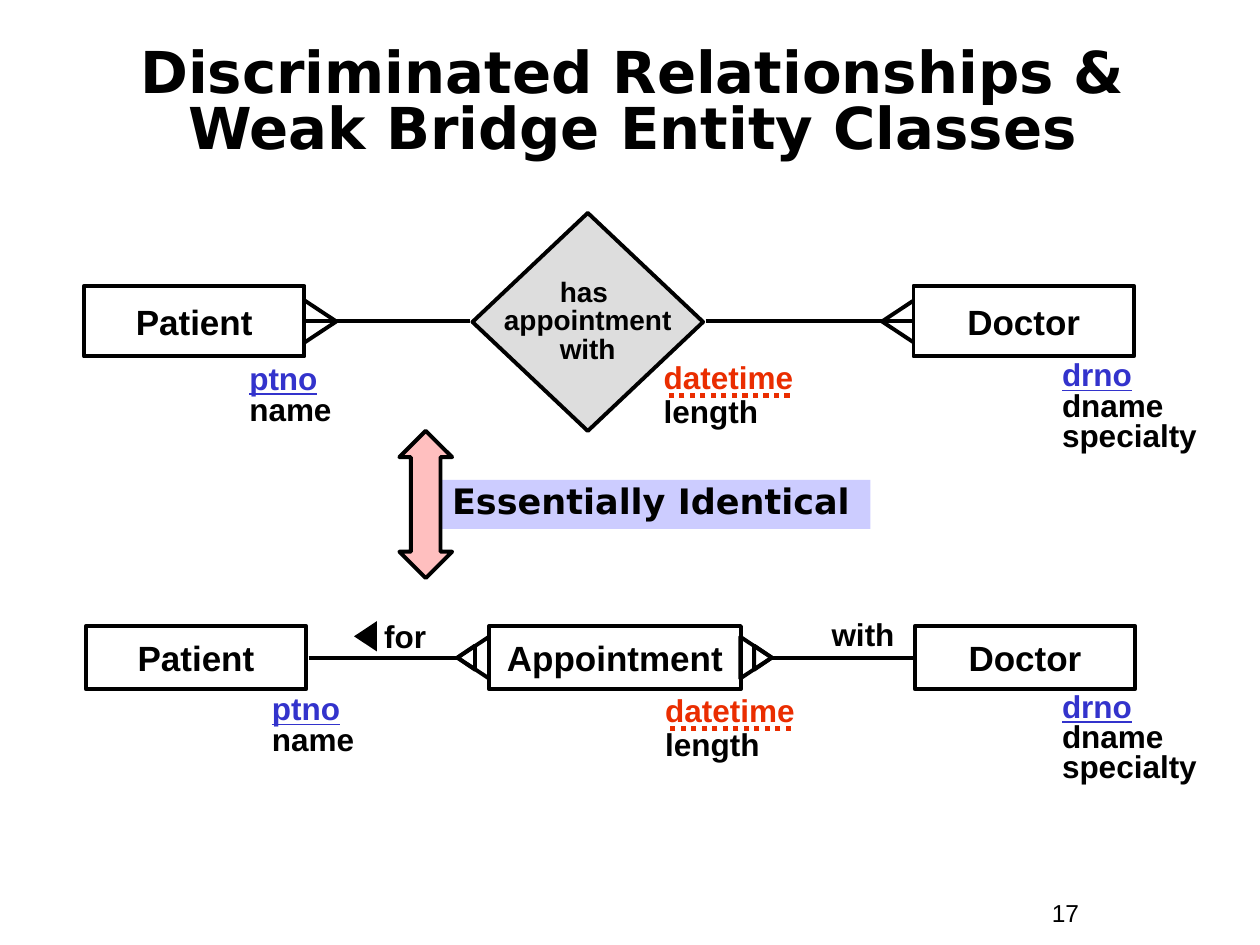
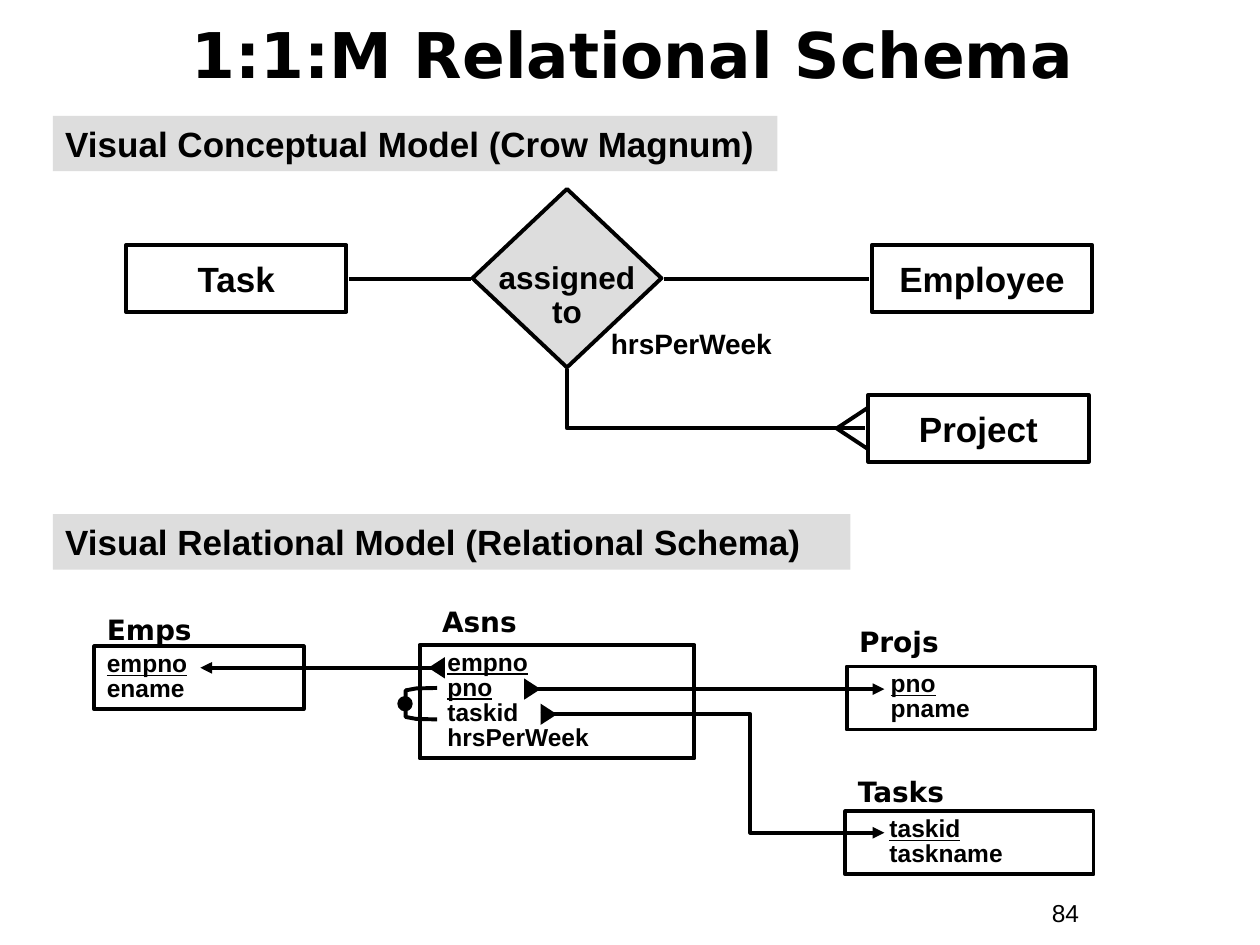
from lxml import etree
from pptx import Presentation
from pptx.dml.color import RGBColor
from pptx.enum.dml import MSO_LINE
from pptx.enum.shapes import MSO_CONNECTOR, MSO_SHAPE
from pptx.enum.text import MSO_ANCHOR, PP_ALIGN
from pptx.oxml.ns import qn
from pptx.util import Pt

STRAIGHT, ELBOW = MSO_CONNECTOR.STRAIGHT, MSO_CONNECTOR.ELBOW
RECTANGLE, DIAMOND = MSO_SHAPE.RECTANGLE, MSO_SHAPE.FLOWCHART_DECISION
TRIANGLE, OVAL = MSO_SHAPE.ISOSCELES_TRIANGLE, MSO_SHAPE.OVAL
UP_DOWN_ARROW = MSO_SHAPE.UP_DOWN_ARROW
LEFT, CENTER = PP_ALIGN.LEFT, PP_ALIGN.CENTER
TOP, MIDDLE = MSO_ANCHOR.TOP, MSO_ANCHOR.MIDDLE
DOTTED = MSO_LINE.ROUND_DOT

BODY_FONT, TITLE_FONT = "Arial", "DejaVu Sans"
BLACK, GRAY, LAVENDER, PINK = "000000", "DDDDDD", "CCCCFF", "FFBFBF"
KEY_BLUE, DISCRIMINATOR_RED = "3333CC", "EA2D00"
LINE_WIDTH = 2.25
ENTITY_WIDTH = 126
FOOT_LENGTH, FOOT_SPREAD = 18, 11.9
POINT_LEFT, POINT_RIGHT = 270, 90

PATIENT = [("ptno", KEY_BLUE, True), "name"]
DOCTOR = [("drno", KEY_BLUE, True), "dname", "specialty"]
APPOINTMENT = [("datetime", DISCRIMINATOR_RED, False), "length"]


def rgb(color):
    return RGBColor.from_string(color)


def points(*values):
    return [Pt(value) for value in values]


def write_text(shape, lines, size=20, font=BODY_FONT, bold=True, align=LEFT,
               spacing=1.0, anchor=TOP, wrap=True, indent=0, drop=0):
    """Fill a shape; a line is a string or (string, colour, underlined)."""
    frame = shape.text_frame
    frame.word_wrap = wrap
    frame.vertical_anchor = anchor
    frame.margin_left, frame.margin_right = points(7.2 + indent, 7.2)
    frame.margin_top, frame.margin_bottom = points(3.6 + drop, 3.6)
    for index, line in enumerate(lines):
        text, color, underlined = (line, BLACK, False) if isinstance(line, str) else line
        paragraph = frame.add_paragraph() if index else frame.paragraphs[0]
        paragraph.alignment = align
        paragraph.line_spacing = spacing
        run = paragraph.add_run()
        run.text = text
        run.font.name, run.font.size, run.font.bold = font, Pt(size), bold
        run.font.underline = underlined
        run.font.color.rgb = rgb(color)


def add_text(slide, lines, left, top, width, height, **text_format):
    box = slide.shapes.add_textbox(*points(left, top, width, height))
    write_text(box, lines, **text_format)


def paint(shape, fill=None, outline=BLACK):
    shape.shadow.inherit = False
    if fill:
        shape.fill.solid()
        shape.fill.fore_color.rgb = rgb(fill)
    else:
        shape.fill.background()
    if outline:
        shape.line.color.rgb = rgb(outline)
        shape.line.width = Pt(LINE_WIDTH)
    else:
        shape.line.fill.background()


def add_box(slide, kind, left, top, width, height, fill=None, outline=BLACK):
    shape = slide.shapes.add_shape(kind, *points(left, top, width, height))
    paint(shape, fill, outline)
    return shape


def add_line(slide, x1, y1, x2, y2, bend=None, arrow=False, color=BLACK,
             width=LINE_WIDTH, dash=None):
    """Draw a line; bend is the share of its width before an elbow turns."""
    kind = STRAIGHT if bend is None else ELBOW
    line = slide.shapes.add_connector(kind, *points(x1, y1, x2, y2))
    line.line.color.rgb = rgb(color)
    line.line.width = Pt(width)
    if dash:
        line.line.dash_style = dash
    properties = line._element.spPr
    if bend is not None:
        adjustments = properties.find(qn("a:prstGeom")).find(qn("a:avLst"))
        etree.SubElement(adjustments, qn("a:gd"), name="adj1",
                         fmla=f"val {round(bend * 100000)}")
    if arrow:
        etree.SubElement(properties.find(qn("a:ln")), qn("a:tailEnd"), type="triangle")
    etree.SubElement(properties, qn("a:effectLst"))


def add_triangle(slide, center_x, center_y, base, height, rotation, solid=True):
    triangle = add_box(slide, TRIANGLE, center_x - base / 2, center_y - height / 2,
                       base, height, BLACK if solid else None, None if solid else BLACK)
    triangle.rotation = rotation


def add_entity(slide, name, left, top, height, width=ENTITY_WIDTH):
    entity = add_box(slide, RECTANGLE, left, top, width, height)
    write_text(entity, [name], align=CENTER, anchor=MIDDLE, wrap=False)


def add_crow_foot(slide, tip_x, y, direction):
    """Spread two toes from the tip; direction is 1 to the right, -1 to the left."""
    for spread in (-FOOT_SPREAD, FOOT_SPREAD):
        add_line(slide, tip_x, y, tip_x + direction * FOOT_LENGTH, y + spread)


def add_weak_crow_foot(slide, center_x, y, rotation):
    toward_tip = 4 if rotation == POINT_RIGHT else -4
    add_triangle(slide, center_x, y, 23.8, 18, rotation, solid=False)
    add_triangle(slide, center_x + toward_tip, y, 13.7, 10.1, rotation, solid=False)


def add_attributes(slide, lines, left, top):
    add_text(slide, lines, left, top, 108, 7.2 + 17 * len(lines), size=18, spacing=0.8)


def add_appointment_attributes(slide, left, top):
    add_text(slide, APPOINTMENT, left, top, 120, 46, size=18, spacing=0.9)
    add_line(slide, left + 79, top + 22.3, left + 7, top + 22.3,
             color=DISCRIMINATOR_RED, width=3, dash=DOTTED)


def add_frame(presentation, title_lines, page, top, height, size, spacing=1.0):
    """Start a slide with its title and page number."""
    slide = presentation.slides.add_slide(presentation.slide_layouts[6])
    add_text(slide, title_lines, 24, top, 675, height, size=size, font=TITLE_FONT,
             align=CENTER, anchor=MIDDLE, spacing=spacing)
    add_text(slide, [page], 594, 509.8, 66, 24.5, size=14, bold=False)
    return slide


def draw_discriminated_relationship(slide, left, top):
    middle = top + 62
    entity_top = top + 41.7
    diamond = add_box(slide, DIAMOND, left + 222, top, 131.8, 124.6, GRAY)
    write_text(diamond, ["has ", "appointment", "with"], size=16, align=CENTER,
               spacing=0.85, anchor=MIDDLE, wrap=False)
    add_entity(slide, "Patient", left, entity_top, 40.3)
    add_entity(slide, "Doctor", left + 474, entity_top, 40.3)
    add_line(slide, left + 126.6, middle, left + 220.6, middle)
    add_line(slide, left + 355.2, middle, left + 473.3, middle)
    add_crow_foot(slide, left + 144.2, middle, -1)
    add_crow_foot(slide, left + 456, middle, 1)
    add_attributes(slide, PATIENT, left + 87.4, top + 84.2)
    add_attributes(slide, DOCTOR, left + 551.8, top + 82)
    add_appointment_attributes(slide, left + 324.2, top + 82)


def draw_equivalence(slide, left, top):
    bar = add_box(slide, RECTANGLE, left + 23, top + 28, 246.2, 28.1, LAVENDER, None)
    write_text(bar, ["Essentially Identical"], font=TITLE_FONT, spacing=0.85)
    arrow = add_box(slide, UP_DOWN_ARROW, left, top, 30.2, 84.2, PINK)
    arrow.adjustments[0], arrow.adjustments[1] = 0.5, 0.56


def draw_weak_bridge(slide, left, top):
    height = 36
    middle = top + height / 2
    add_entity(slide, "Patient", left, top, height)
    add_entity(slide, "Appointment", left + 230.4, top, height, 144)
    add_entity(slide, "Doctor", left + 473.7, top, height)
    add_line(slide, left + 127.4, middle, left + 212.4, middle)
    add_line(slide, left + 473, middle, left + 391.6, middle)
    add_weak_crow_foot(slide, left + 221.4, middle, POINT_LEFT)
    add_weak_crow_foot(slide, left + 383, middle, POINT_RIGHT)
    for verb, verb_left, verb_top, width in (("for", 140.4, -8.6, 84.2),
                                             ("with", 390.2, -10, 108)):
        add_text(slide, [verb], left + verb_left, top + verb_top, width, 28.8,
                 size=18, align=CENTER)
    add_triangle(slide, left + 159.8, top + 5.8, 17.3, 13, POINT_LEFT)
    add_attributes(slide, PATIENT, left + 99.3, top + 36.8)
    add_attributes(slide, DOCTOR, left + 550.8, top + 35.3)
    add_appointment_attributes(slide, left + 324, top + 36)


def add_section_heading(slide, text, left, top, width):
    heading = add_box(slide, RECTANGLE, left, top, width, 31.7, GRAY, None)
    write_text(heading, [text])


def draw_conceptual_model(slide, left, top):
    middle, project_middle = top + 51.2, top + 136.8
    height = 38.2
    diamond = add_box(slide, DIAMOND, left + 198, top, 108, 102, GRAY)
    write_text(diamond, ["assigned", "to"], size=18, align=CENTER, spacing=0.9,
               anchor=MIDDLE, wrap=False, drop=20.7)
    add_entity(slide, "Task", left, middle - height / 2, height)
    add_entity(slide, "Employee", left + 426.2, middle - height / 2, height)
    add_entity(slide, "Project", left + 424.1, project_middle - height / 2, height)
    add_line(slide, left + 127.4, middle, left + 197.3, middle)
    add_line(slide, left + 307.4, middle, left + 424.8, middle)
    add_line(slide, left + 252, top + 103, left + 422.6, project_middle, bend=0)
    add_crow_foot(slide, left + 406.1, project_middle, 1)
    add_text(slide, ["hrsPerWeek"], left + 270, top + 77, 126, 24.5, size=16, spacing=0.9)


def add_schema_table(slide, name, keys, columns, left, top, width, rise,
                     name_shift=0, indent=0):
    """Draw a table outline with underlined keys and its name above."""
    height = 36 if len(keys + columns) == 2 else 64.8
    add_text(slide, [name], left + name_shift, top - rise, 154.8, 26.6,
             size=16, font=TITLE_FONT)
    table = add_box(slide, RECTANGLE, left, top, width, height)
    lines = [(key, BLACK, True) for key in keys] + columns
    write_text(table, lines, size=14, spacing=0.85, indent=indent)


def add_key_bracket(slide, left, top):
    """Join two column names on their left with a dotted bracket."""
    outline = [(18, 0), (6, 0.3), (0, 1.4), (0, 16.6), (6, 17.7), (18, 18)]
    corners = [points(left + x, top + y) for x, y in outline]
    builder = slide.shapes.build_freeform(*corners[0])
    builder.add_line_segments(corners[1:], close=False)
    paint(builder.convert_to_shape())
    add_box(slide, OVAL, left - 3.6, top + 5.8, 6.5, 6.5, BLACK)


def draw_relational_schema(slide, left, top):
    add_schema_table(slide, "Emps", ["empno"], ["ename"], left, top + 0.8, 119.5, 23.1)
    add_schema_table(slide, "Asns", ["empno", "pno"], ["taskid", "hrsPerWeek"],
                     left + 185.8, top, 157, 26.6, name_shift=5.7, indent=8.64)
    add_schema_table(slide, "Projs", ["pno"], ["pname"], left + 429.8, top + 12.3,
                     141.8, 27.4, indent=18)
    add_schema_table(slide, "Tasks", ["taskid"], ["taskname"], left + 429.1, top + 95.1,
                     141.8, 24.5, indent=18)
    links = [(195.1, 13, 60.5, 13, None, 195.5, POINT_LEFT),
             (249.1, 25.2, 451.4, 25.2, None, 250.2, POINT_RIGHT),
             (254.9, 39.6, 451.4, 107.3, 0.61, 259.6, POINT_RIGHT)]
    for x1, y1, x2, y2, bend, marker_x, rotation in links:
        add_line(slide, left + x1, top + y1, left + x2, top + y2, bend, arrow=True)
        add_triangle(slide, left + marker_x, top + y1, 12.2, 9.4, rotation)
    add_key_bracket(slide, left + 177.8, top + 24.5)


def main():
    presentation = Presentation()
    presentation.slide_width, presentation.slide_height = points(720, 540)

    slide = add_frame(presentation, ["Discriminated Relationships &",
                                     "Weak Bridge Entity Classes"],
                      "17", 36, 48, 33, 0.8)
    draw_discriminated_relationship(slide, 48, 121.7)
    draw_equivalence(slide, 228.2, 246.2)
    draw_weak_bridge(slide, 49, 357.8)

    slide = add_frame(presentation, ["1:1:M Relational Schema"], "84", 3.6, 54, 36)
    add_section_heading(slide, "Visual Conceptual Model (Crow Magnum)", 30.2, 66.2, 414)
    draw_conceptual_model(slide, 72, 108)
    add_section_heading(slide, "Visual Relational Model (Relational Schema)",
                        30.2, 293.8, 455.8)
    draw_relational_schema(slide, 54, 368.6)

    presentation.save("out.pptx")


if __name__ == "__main__":
    main()
